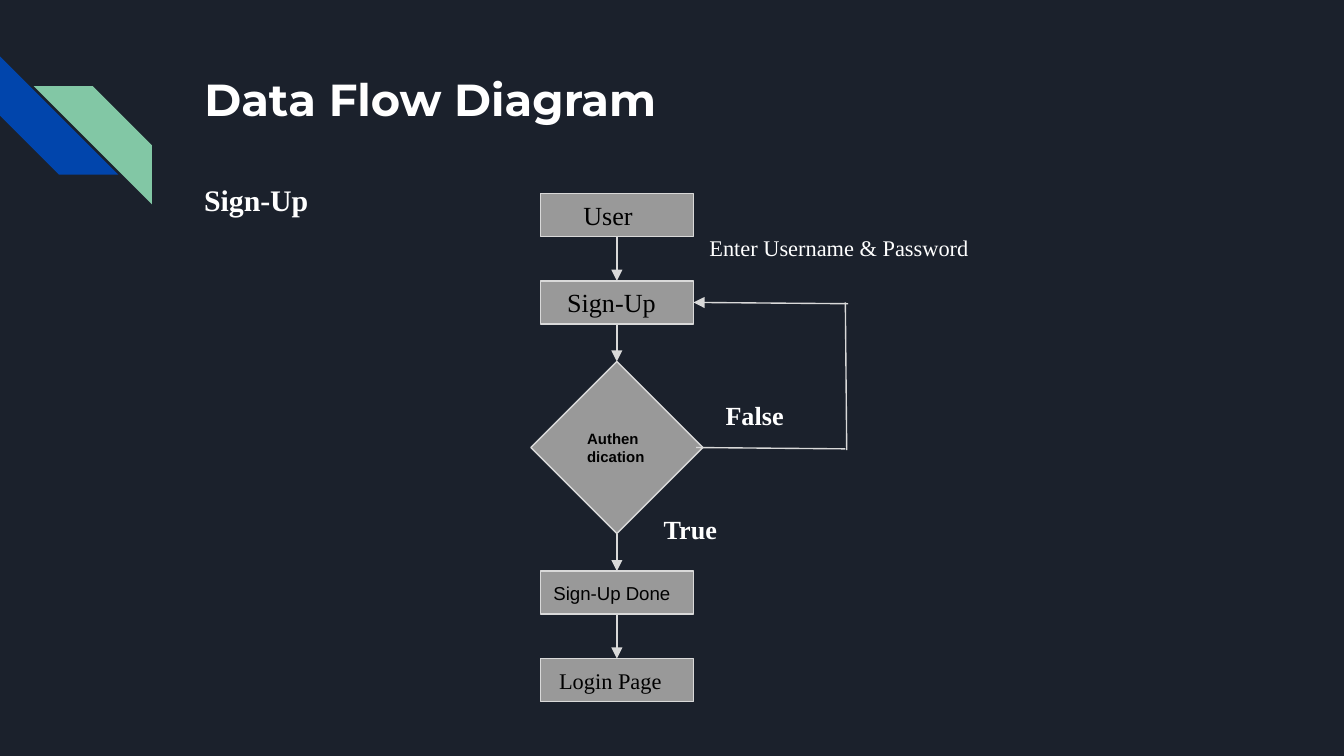
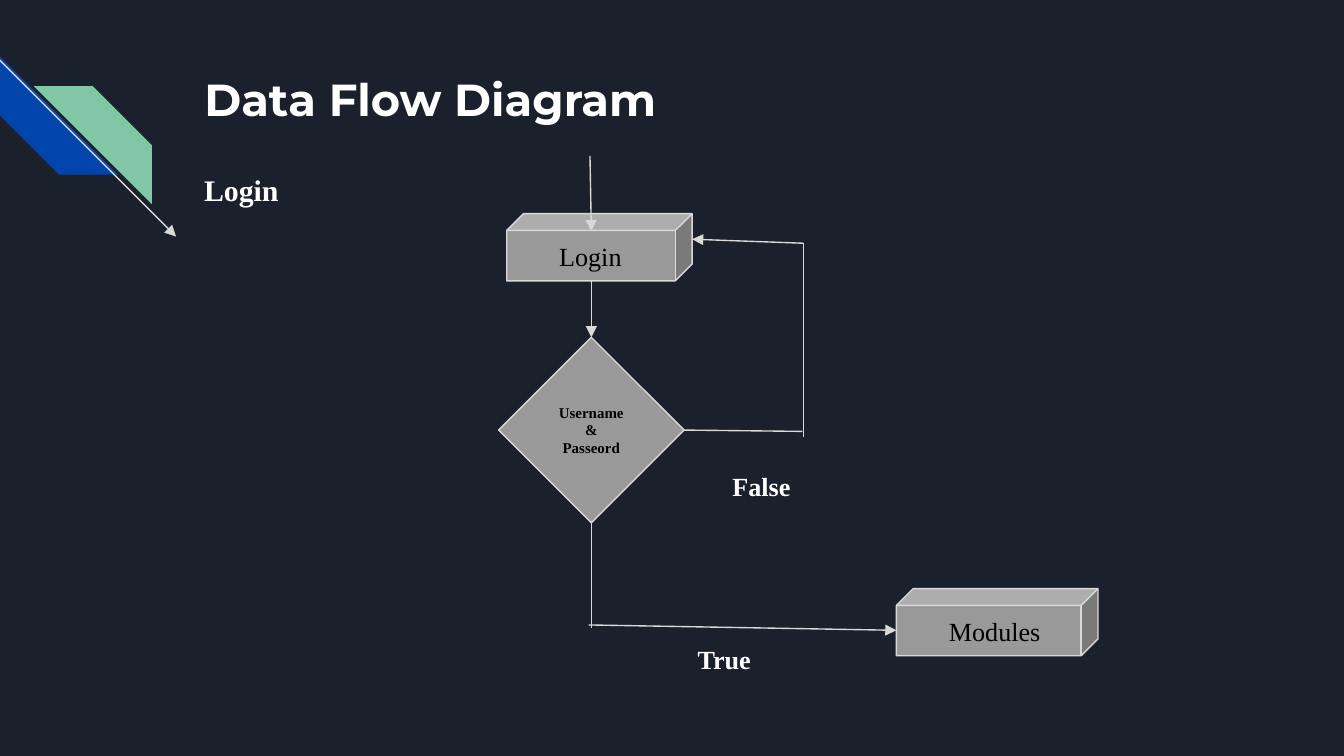
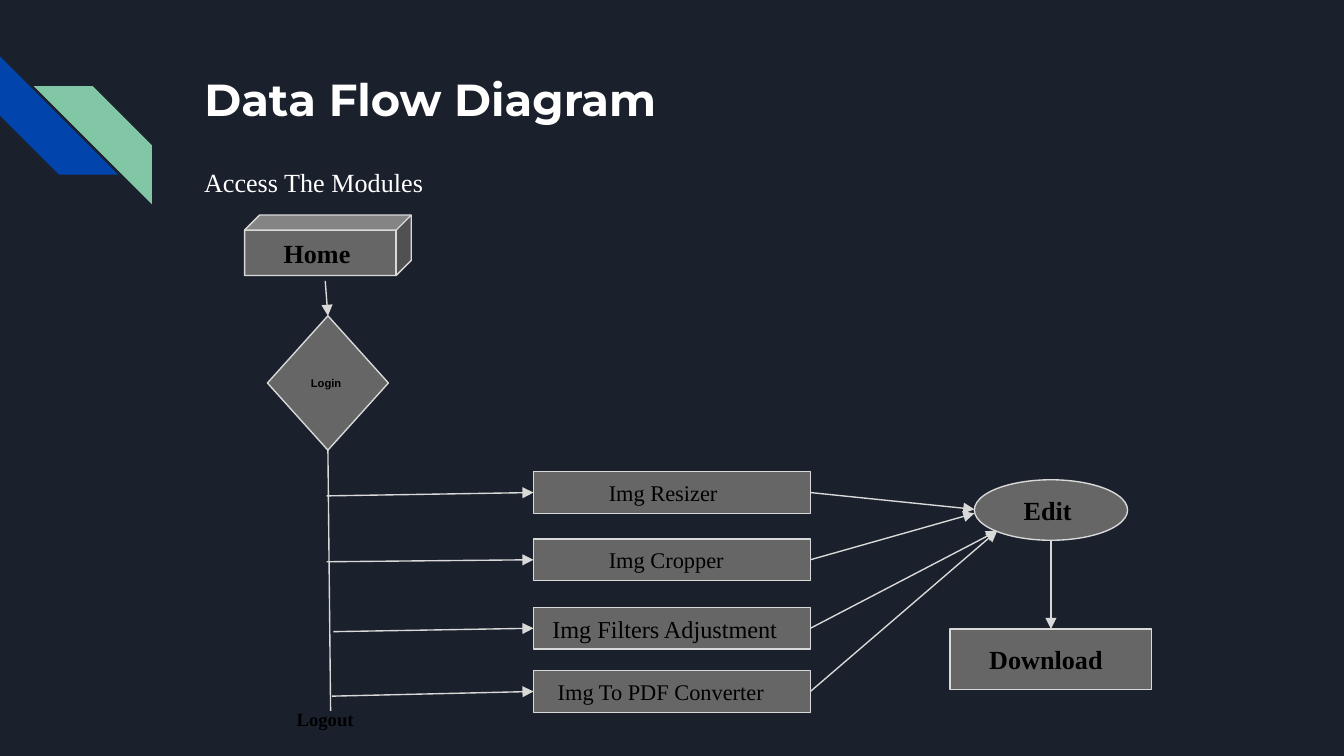
from dataclasses import dataclass

from lxml.etree import SubElement
from pptx import Presentation
from pptx.dml.color import RGBColor
from pptx.enum.shapes import MSO_CONNECTOR, MSO_SHAPE
from pptx.enum.text import MSO_ANCHOR, MSO_AUTO_SIZE, PP_ALIGN
from pptx.oxml.ns import qn
from pptx.util import Inches, Pt

SLIDE_WIDTH = Inches(10)
SLIDE_HEIGHT = SLIDE_WIDTH * 9 // 16
COLUMN = SLIDE_WIDTH / 100
ROW = COLUMN
TITLE_ONLY = 5

BACKGROUND = "1B212C"
BLUE = "0145AC"
GREEN = "82C7A5"
WHITE = "FFFFFF"
BLACK = "000000"
OUTLINE = "D9D9D9"
LIGHT_GRAY = "999999"
DARK_GRAY = "666666"

SERIF = "Times New Roman"
SANS = "Arial"
TITLE_FONT = "Montserrat"


@dataclass
class TextStyle:
    size: float
    color: str = BLACK
    bold: bool = False
    font: str = SERIF


@dataclass
class Box:
    left: float
    top: float
    columns: float
    rows: float

    def area(self, left, top, columns, rows):
        return Box(self.left + left, self.top + top, columns, rows)

    def at(self, column, row):
        return self.left + column, self.top + row

    def share(self, across, down):
        return self.at(self.columns * across, self.rows * down)

    def frame(self):
        return (
            round(self.left * COLUMN),
            round(self.top * ROW),
            round(self.columns * COLUMN),
            round(self.rows * ROW),
        )


SLIDE = Box(0, 0, 100, 56.25)
TITLE_STYLE = TextStyle(24, WHITE, True, TITLE_FONT)
HEADING = TextStyle(16, WHITE, True)
BRANCH_LABEL = TextStyle(14, WHITE, True)
STEP = TextStyle(14)
BOLD_STEP = TextStyle(14, bold=True)
MODULE = TextStyle(12)


def rgb(color):
    return RGBColor.from_string(color)


def write(shape, text, style, inset=1, anchor=MSO_ANCHOR.TOP, alignment=PP_ALIGN.LEFT):
    frame = shape.text_frame
    frame.text = text
    frame.word_wrap = True
    frame.vertical_anchor = anchor
    frame.margin_left = round(inset * COLUMN)
    frame.margin_right = frame.margin_top = frame.margin_bottom = round(COLUMN)
    for paragraph in frame.paragraphs:
        paragraph.alignment = alignment
        paragraph.font.name = style.font
        paragraph.font.size = Pt(style.size)
        paragraph.font.bold = style.bold
        paragraph.font.color.rgb = rgb(style.color)


def add_label(slide, box, text, style, inset=1):
    label = slide.shapes.add_textbox(*box.frame())
    write(label, text, style, inset)
    return label


def add_node(slide, box, kind, text, style, fill, inset=1, alignment=PP_ALIGN.LEFT):
    node = slide.shapes.add_shape(kind, *box.frame())
    node.shadow.inherit = False
    node.fill.solid()
    node.fill.fore_color.rgb = rgb(fill)
    node.line.color.rgb = rgb(OUTLINE)
    node.line.width = Pt(0.75)
    write(node, text, style, inset, MSO_ANCHOR.MIDDLE, alignment)


def add_line(slide, start, end, arrow=False):
    ends = [round(column * COLUMN) for column in (*start, *end)]
    line = slide.shapes.add_connector(MSO_CONNECTOR.STRAIGHT, *ends)
    line.line.color.rgb = rgb(OUTLINE)
    line.line.width = Pt(0.75)
    properties = line._element.spPr
    if arrow:
        SubElement(properties.find(qn("a:ln")), qn("a:tailEnd"), type="triangle")
    SubElement(properties, qn("a:effectLst"))


def add_arrow(slide, start, end):
    add_line(slide, start, end, arrow=True)


def add_bands(slide, box):
    for left, top, rotation, color in ((0, 0, 270, BLUE), (2.5, 2.2, 90, GREEN)):
        band = slide.shapes.add_shape(
            MSO_SHAPE.DIAGONAL_STRIPE, *box.area(left, top, 8.8, 8.8).frame()
        )
        band.rotation = rotation
        band.shadow.inherit = False
        band.fill.solid()
        band.fill.fore_color.rgb = rgb(color)
        band.line.fill.background()


def add_flow_slide(presentation, heading, heading_top, style):
    slide = presentation.slides.add_slide(presentation.slide_layouts[TITLE_ONLY])
    add_bands(slide, SLIDE.area(0, 4.2, 11.3, 11))
    title = slide.shapes.title
    title.left, title.top, title.width, title.height = SLIDE.area(14.2, 4.3, 77, 10).frame()
    write(title, "Data Flow Diagram", TITLE_STYLE)
    title.text_frame.auto_size = MSO_AUTO_SIZE.NONE
    label = add_label(slide, SLIDE.area(14.2, heading_top, 77, 5), heading, style)
    paragraph = label.text_frame.paragraphs[0]
    paragraph.line_spacing = 1.15
    paragraph.space_after = Pt(12)
    return slide


def add_sign_up_flow(slide, box):
    check = box.area(0, 12.5, 12.8, 12.8)
    user, sign_up, done, login = [
        box.area(0.7, top, 11.4, 3.2) for top in (0, 6.5, 28.1, 34.6)
    ]
    for step, text, style, inset in (
        (user, "User", STEP, 3.2),
        (sign_up, "Sign-Up", STEP, 2),
        (done, "Sign-Up Done", TextStyle(10, font=SANS), 1),
        (login, "Login Page", TextStyle(12), 1.4),
    ):
        add_node(slide, step, MSO_SHAPE.RECTANGLE, text, style, LIGHT_GRAY, inset)
    add_node(slide, check, MSO_SHAPE.DIAMOND, "Authendication",
             TextStyle(8, bold=True, font=SANS), LIGHT_GRAY)

    steps = [user, sign_up, check, done, login]
    for step, following in zip(steps, steps[1:]):
        add_arrow(slide, step.share(0.5, 1), following.share(0.5, 0))
    add_line(slide, box.at(12.3, 18.9), box.at(23.4, 19))
    add_line(slide, box.at(23.5, 19.1), box.at(23.4, 8.1))
    add_arrow(slide, box.at(23.6, 8.2), sign_up.share(1, 0.5))

    add_label(slide, box.area(12.3, 2, 32.9, 4), "Enter Username & Password",
              TextStyle(12, WHITE))
    add_label(slide, box.area(8.9, 22.8, 8.5, 4.4), "True", BRANCH_LABEL)
    add_label(slide, box.area(13.5, 14.3, 8.5, 4.4), "False", BRANCH_LABEL)


def add_login_flow(slide, box):
    login = box.area(0.6, 4.3, 13.8, 5)
    check = box.area(0, 13.5, 13.8, 13.8)
    modules = box.area(29.6, 32.2, 15, 5)
    add_node(slide, login, MSO_SHAPE.CUBE, "Login", STEP, LIGHT_GRAY, 3.9)
    add_node(slide, check, MSO_SHAPE.DIAMOND, "Username\n&\nPasseord",
             TextStyle(8, bold=True), LIGHT_GRAY, alignment=PP_ALIGN.CENTER)
    add_node(slide, modules, MSO_SHAPE.CUBE, "Modules", STEP, LIGHT_GRAY, 3.9)

    add_arrow(slide, box.at(6.8, 0), box.at(6.9, 5.6))
    add_arrow(slide, box.at(6.9, 9.3), check.share(0.5, 0))
    add_line(slide, check.share(1, 0.5), box.at(22.6, 20.5))
    add_line(slide, box.at(22.7, 20.9), box.at(22.7, 6.5))
    add_arrow(slide, box.at(22.7, 6.5), box.at(14.4, 6.2))
    add_line(slide, check.share(0.5, 1), box.at(6.9, 35.1))
    add_arrow(slide, box.at(6.7, 34.9), box.at(29.6, 35.3))

    add_label(slide, box.area(14.5, 22.4, 10.7, 4.4), "False", BRANCH_LABEL, 2.9)
    add_label(slide, box.area(11.9, 35.3, 10.7, 4.4), "True", BRANCH_LABEL, 2.9)


def add_module_flow(slide, box):
    home = box.area(0, 0, 12.4, 4.5)
    login = box.area(1.7, 7.5, 9, 10)
    edit = box.area(54.3, 19.7, 11.4, 4.5)
    download = box.area(52.5, 30.8, 15, 4.5)
    add_node(slide, home, MSO_SHAPE.CUBE, "Home", BOLD_STEP, DARK_GRAY, 2.9)
    add_node(slide, login, MSO_SHAPE.DIAMOND, "Login",
             TextStyle(6, bold=True, font=SANS), DARK_GRAY)
    add_node(slide, edit, MSO_SHAPE.OVAL, "Edit", BOLD_STEP, DARK_GRAY, 2)
    add_node(slide, download, MSO_SHAPE.RECTANGLE, "Download", BOLD_STEP, DARK_GRAY, 2.9)

    add_arrow(slide, box.at(6, 4.9), login.share(0.5, 0))
    add_line(slide, login.share(0.5, 1), box.at(6.4, 36.9))
    add_arrow(slide, edit.share(0.5, 1), download.share(0.5, 0))

    for text, style, inset, top, branch, target in (
        ("Img Resizer", MODULE, 5.6, 19.1, (6.1, 20.9), (54.3, 21.9)),
        ("Img Cropper", MODULE, 5.6, 24.1, (6.1, 25.8), (54.3, 22.2)),
        ("Img Filters Adjustment", TextStyle(13), 1.4, 29.2, (6.6, 31), (56, 23.5)),
        ("Img To PDF Converter", MODULE, 1.8, 33.9, (6.5, 35.8), (56, 23.5)),
    ):
        module = box.area(21.5, top, 20.6, 3.1)
        add_node(slide, module, MSO_SHAPE.RECTANGLE, text, style, DARK_GRAY, inset)
        add_arrow(slide, box.at(*branch), module.share(0, 0.5))
        add_arrow(slide, module.share(1, 0.5), box.at(*target))

    add_label(slide, box.area(2.9, 35.8, 8, 3.6), "Logout", TextStyle(10, bold=True))


def main():
    presentation = Presentation()
    presentation.slide_width = SLIDE_WIDTH
    presentation.slide_height = SLIDE_HEIGHT
    background = presentation.slide_master.background.fill
    background.solid()
    background.fore_color.rgb = rgb(BACKGROUND)

    slide = add_flow_slide(presentation, "Sign-Up", 12.1, HEADING)
    add_sign_up_flow(slide, SLIDE.area(39.5, 14.4, 45.2, 37.8))

    slide = add_flow_slide(presentation, "Login", 11.4, HEADING)
    add_arrow(slide, SLIDE.at(-1.7, 2.8), SLIDE.at(13.1, 17.6))
    add_login_flow(slide, SLIDE.area(37.1, 11.6, 44.6, 39.7))

    slide = add_flow_slide(presentation, "Access The Modules", 11, TextStyle(14, WHITE))
    add_module_flow(slide, SLIDE.area(18.2, 16, 67.5, 39.4))

    presentation.save("out.pptx")


if __name__ == "__main__":
    main()
